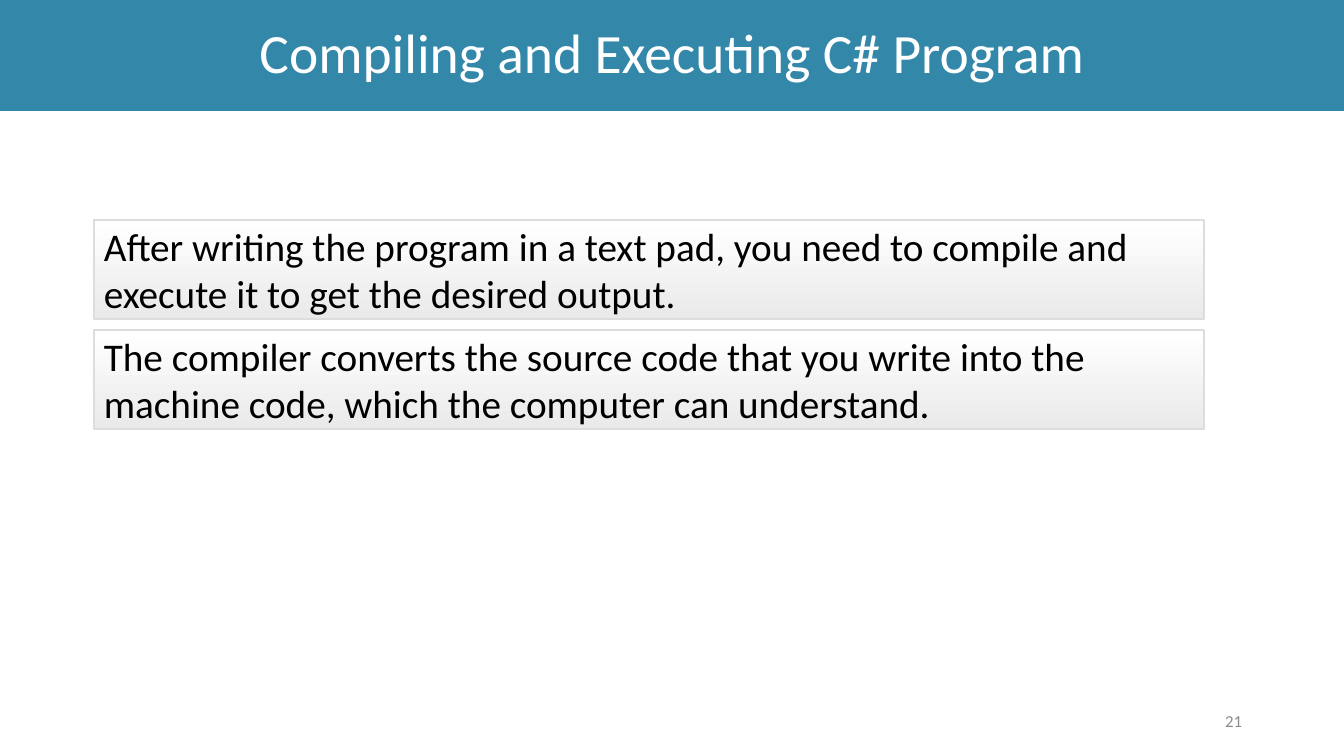
from pptx import Presentation
from pptx.dml.color import RGBColor
from pptx.enum.shapes import MSO_SHAPE
from pptx.enum.text import MSO_ANCHOR, PP_ALIGN
from pptx.util import Emu, Pt

TITLE = "Compiling and Executing C# Program"
NOTES = [
    "After writing the program in a text pad, you need to compile and "
    "execute it to get the desired output.",
    "The compiler converts the source code that you write into the "
    "machine code, which the computer can understand.",
]
PAGE = "21"
FONT = "Calibri"
GRADIENT = [(0, "FFFFFF"), (1, "EAEAEA")]
WIDTH, HEIGHT = 1344, 756
NOTE_X, NOTE_Y, NOTE_W, NOTE_H, NOTE_STEP = 94, 220, 1110, 99, 110


def px(n):
    return Emu(round(n * 914400 / 100.8))


def rgb(value):
    return RGBColor.from_string(value)


def write(s, text, size, color, align):
    tf = s.text_frame
    tf.word_wrap = True
    tf.vertical_anchor = MSO_ANCHOR.MIDDLE
    p = tf.paragraphs[0]
    p.alignment = align
    r = p.add_run()
    r.text = text
    r.font.name = FONT
    r.font.size = Pt(size)
    r.font.color.rgb = rgb(color)
    return p


def add_box(x, y, w, h):
    s = slide.shapes.add_shape(MSO_SHAPE.RECTANGLE, px(x), px(y), px(w), px(h))
    s.shadow.inherit = False
    return s


prs = Presentation()
prs.slide_width, prs.slide_height = px(WIDTH), px(HEIGHT)
slide = prs.slides.add_slide(prs.slide_layouts[6])

# Title band
band = add_box(0, 0, WIDTH, 111)
band.fill.solid()
band.fill.fore_color.rgb = rgb("3388A9")
band.line.fill.background()
write(band, TITLE, 39.6, "FFFFFF", PP_ALIGN.CENTER).line_spacing = 0.9

# Page number
number = slide.shapes.add_textbox(px(950), px(701), px(302), px(40))
write(number, PAGE, 12, "8C8C8C", PP_ALIGN.RIGHT)

# Note boxes
for i, note in enumerate(NOTES):
    s = add_box(NOTE_X, NOTE_Y + i * NOTE_STEP, NOTE_W, NOTE_H)
    s.fill.gradient()
    s.fill.gradient_angle = 270
    for stop, (position, color) in zip(s.fill.gradient_stops, GRADIENT):
        stop.position = position
        stop.color.rgb = rgb(color)
    s.line.color.rgb = rgb("DDDDDD")
    s.line.width = Pt(1)
    write(s, note, 28, "000000", PP_ALIGN.LEFT)

prs.save("out.pptx")
